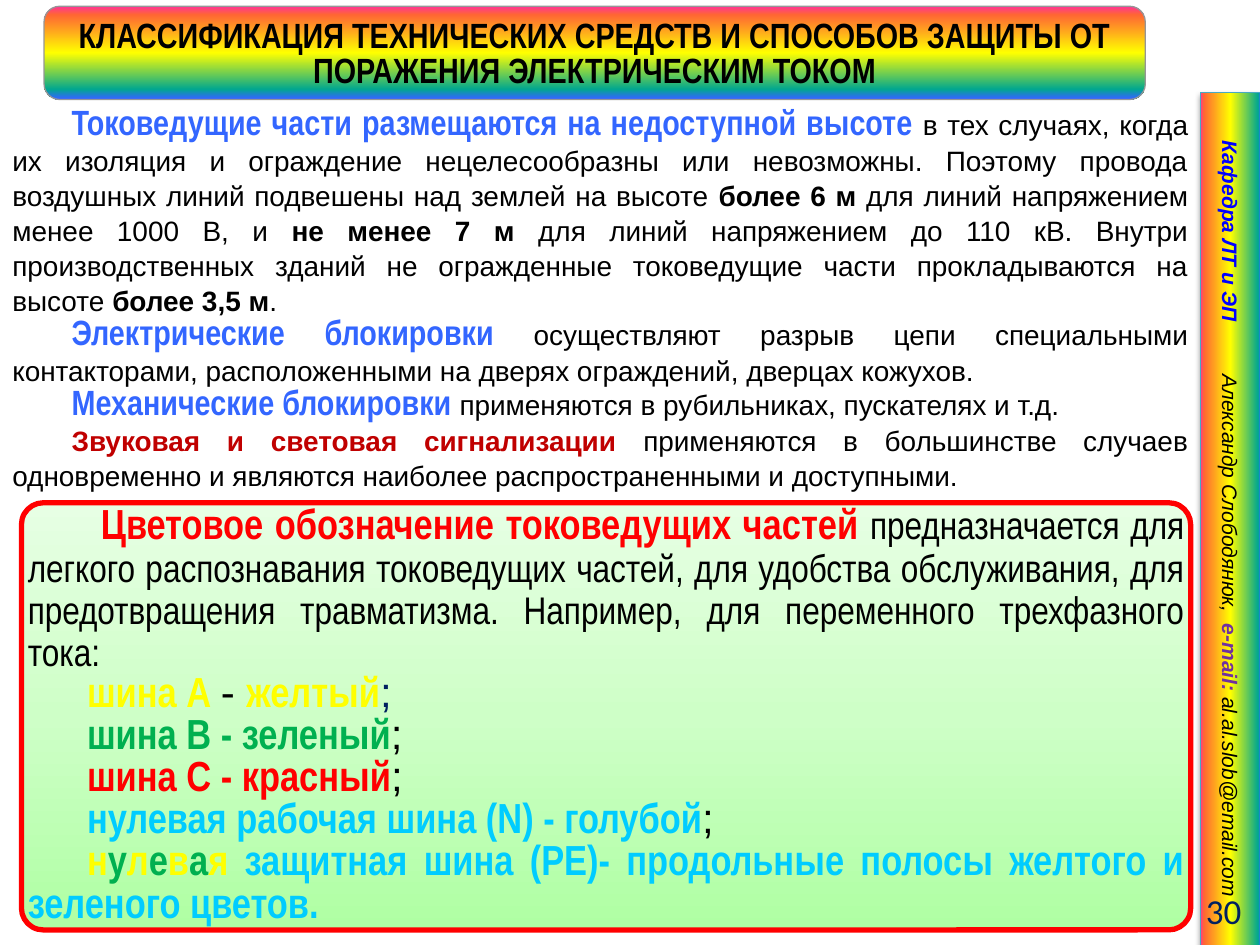
import pptx
import pptx.util
import pptx.dml.color
import pptx.enum.shapes
import pptx.enum.text
import pptx.oxml
import pptx.oxml.ns

Inches, Pt = pptx.util.Inches, pptx.util.Pt
ALIGN = pptx.enum.text.PP_ALIGN
NS = pptx.oxml.ns.nsdecls("a")
NARROW = "Arial Narrow"
BLACK, NAVY, BLUE, RED, YELLOW, GREEN, CYAN = (
    "000000", "002060", "3366FF", "FF0000", "FFFF00", "00B050", "00CCFF")


def rgb(hex_color):
    return pptx.dml.color.RGBColor.from_string(hex_color)


def add_run(p, text, size=16, font="Arial", color=BLACK, bold=False,
            italic=False, outline=None, alpha=100, gap=0):
    """Add a run; outline is a width in points, gap is letter spacing in points."""
    r = p.add_run()
    r.text = text
    f = r.font
    f.size, f.name, f.bold, f.italic = Pt(size), font, bold, italic
    f.color.rgb = rgb(color)
    rPr = r._r.get_or_add_rPr()
    if gap:
        rPr.set("spc", str(gap * 100))
    if outline:
        rPr.insert(0, pptx.oxml.parse_xml(
            f'<a:ln {NS} w="{Pt(outline)}"><a:solidFill><a:srgbClr val="{BLACK}">'
            f'<a:alpha val="{alpha * 1000}"/></a:srgbClr></a:solidFill>'
            '<a:prstDash val="solid"/></a:ln>'))


prs = pptx.Presentation()
prs.slide_width, prs.slide_height = Inches(10), Inches(7.5)
s = prs.slides.add_slide(prs.slide_layouts[6])

# Gradient panels: side bar, colour-code panel, title
RECT = pptx.enum.shapes.MSO_SHAPE.RECTANGLE
ROUND = pptx.enum.shapes.MSO_SHAPE.ROUNDED_RECTANGLE
rainbow = ["FF3399", "FF6633", YELLOW, "01A78F", BLUE]
panels = [
    (RECT, (6.38, 3.88, 6.77, 0.48), zip([0, 6, 50, 96, 100], rainbow), 270, "46AAC5", 0.75),
    (ROUND, (0.17, 3.99, 9.28, 3.39),
     zip([0, 50, 100], ["AFFFA3", "CEFFC7", "E7FFE4"]), 270, RED, 3),
    (ROUND, (0.35, 0.05, 8.74, 0.74), zip([0, 9, 50, 89, 99], rainbow), 90, "969696", 0.75),
]
shapes = []
for kind, box, stops, angle, line, width in panels:
    sp = s.shapes.add_shape(kind, *map(Inches, box))
    sp.shadow.inherit = False
    sp.fill.gradient()
    sp.fill.gradient_angle = 360 - angle
    gs_list = sp._element.spPr.find(".//" + pptx.oxml.ns.qn("a:gsLst"))
    for gs in list(gs_list):
        gs_list.remove(gs)
    for pos, color in stops:
        gs_list.append(pptx.oxml.parse_xml(
            f'<a:gs {NS} pos="{pos * 1000}"><a:srgbClr val="{color}"/></a:gs>'))
    sp.line.color.rgb = rgb(line)
    sp.line.width = Pt(width)
    sp.text_frame.word_wrap = True
    sp.text_frame.vertical_anchor = pptx.enum.text.MSO_ANCHOR.MIDDLE
    shapes.append(sp)
bar, panel, title = shapes

# Side bar
bar.rotation = 90
bar._element.spPr.find(pptx.oxml.ns.qn("a:effectLst")).append(pptx.oxml.parse_xml(
    f'<a:outerShdw {NS} blurRad="{Pt(3.1)}" dist="{Pt(1.6)}" dir="5400000" rotWithShape="0">'
    f'<a:srgbClr val="{BLACK}"><a:alpha val="38000"/></a:srgbClr></a:outerShdw>'))
p = bar.text_frame.paragraphs[0]
p.alignment = ALIGN.CENTER
for text, fmt in [
    ("Кафедра ЛТ и ЭП", dict(color="0000FF", bold=True)),
    (" ", dict(gap=27)),
    ("Александр Слободянюк,", {}),
    (" ", dict(gap=3)),
    ("e-mail: ", dict(color="7030A0", bold=True)),
    ("al.al.slob@email.com", {}),
]:
    add_run(p, text, size=12, italic=True, **fmt)

# Page number
number = s.shapes.add_textbox(Inches(8.86), Inches(7.03), Inches(1.09), Inches(0.4))
tf = number.text_frame
tf.word_wrap = True
tf.vertical_anchor = pptx.enum.text.MSO_ANCHOR.MIDDLE
p = tf.paragraphs[0]
p.alignment = ALIGN.RIGHT
add_run(p, "30", size=20, font="Calibri", color=NAVY)

# Title
tf = title.text_frame
tf.margin_left = tf.margin_right = tf.margin_top = Inches(0.04)
tf.margin_bottom = 0
p = tf.paragraphs[0]
p.alignment = ALIGN.CENTER
p.line_spacing = Pt(20)
add_run(p, "КЛАССИФИКАЦИЯ ТЕХНИЧЕСКИХ СРЕДСТВ И СПОСОБОВ ЗАЩИТЫ ОТ ПОРАЖЕНИЯ "
        "ЭЛЕКТРИЧЕСКИМ ТОКОМ", size=20, font=NARROW, bold=True)

# Body and colour-code paragraphs, each a list of runs
body = s.shapes.add_textbox(0, Inches(0.8), Inches(9.53), Inches(3.19))
body.text_frame.word_wrap = True
body.text_frame.auto_size = pptx.enum.text.MSO_AUTO_SIZE.SHAPE_TO_FIT_TEXT
tf = panel.text_frame
tf.margin_left = tf.margin_right = tf.margin_top = tf.margin_bottom = 0
panel.adjustments[0] = 0.051

term = dict(size=20, font=NARROW, color=BLUE, bold=True)
strong = dict(bold=True)
plain = dict(size=24)
bus = dict(size=24, font=NARROW, bold=True, outline=1)
yellow, green, red, cyan = (dict(bus, color=c) for c in (YELLOW, GREEN, RED, CYAN))

body_paragraphs = [
    [("Токоведущие части размещаются на недоступной высоте ", term),
     ("в тех случаях, когда их изоляция и ограждение нецелесообразны или невозможны. "
      "Поэтому провода воздушных линий подвешены над землей на высоте ", {}),
     ("более 6 м ", strong),
     ("для линий напряжением менее 1000 В, и ", {}),
     ("не менее 7 м ", strong),
     ("для линий напряжением до 110 кВ. Внутри производственных зданий не огражденные "
      "токоведущие части прокладываются на высоте ", {}),
     ("более 3,5 м", strong), (".", {})],
    [("Электрические блокировки ", term),
     ("осуществляют разрыв цепи специальными контакторами, расположенными на дверях "
      "ограждений, дверцах кожухов.", {})],
    [("Механические блокировки ", term),
     ("применяются в рубильниках, пускателях и т.д.", {})],
    [("Звуковая и световая сигнализации ", dict(color="C00000", bold=True)),
     ("применяются в большинстве случаев одновременно и являются наиболее "
      "распространенными и доступными.", {})],
]
panel_paragraphs = [
    [("Цветовое обозначение токоведущих частей ", dict(red, outline=0.07, alpha=55)),
     ("предназначается для легкого распознавания токоведущих частей, для удобства "
      "обслуживания, для предотвращения травматизма. Например, для переменного "
      "трехфазного тока:", dict(size=22, font=NARROW))],
    [("шина А ", yellow), ("- ", plain), ("желтый", yellow), (";", dict(plain, color=NAVY))],
    [("шина В - зеленый", green), (";", plain)],
    [("шина С - красный", red), (";", plain)],
    [("нулевая рабочая шина (N) - голубой", cyan), (";", plain)],
    [(letter, green if i % 2 else yellow) for i, letter in enumerate("нулевая")]
    + [(" защитная шина (PE)- продольные полосы желтого и зеленого цветов.", cyan)],
]
for sp, paragraphs, spacing, first_indent in [
    (body, body_paragraphs, 20, 0.47),
    (panel, panel_paragraphs, 24, 0.58),
]:
    tf = sp.text_frame
    for i, runs in enumerate(paragraphs):
        p = tf.add_paragraph() if i else tf.paragraphs[0]
        p.alignment = ALIGN.JUSTIFY
        p.line_spacing = Pt(spacing)
        p._p.get_or_add_pPr().set("indent", str(Inches(0.47 if i else first_indent)))
        for text, fmt in runs:
            add_run(p, text, **fmt)

prs.save("out.pptx")
